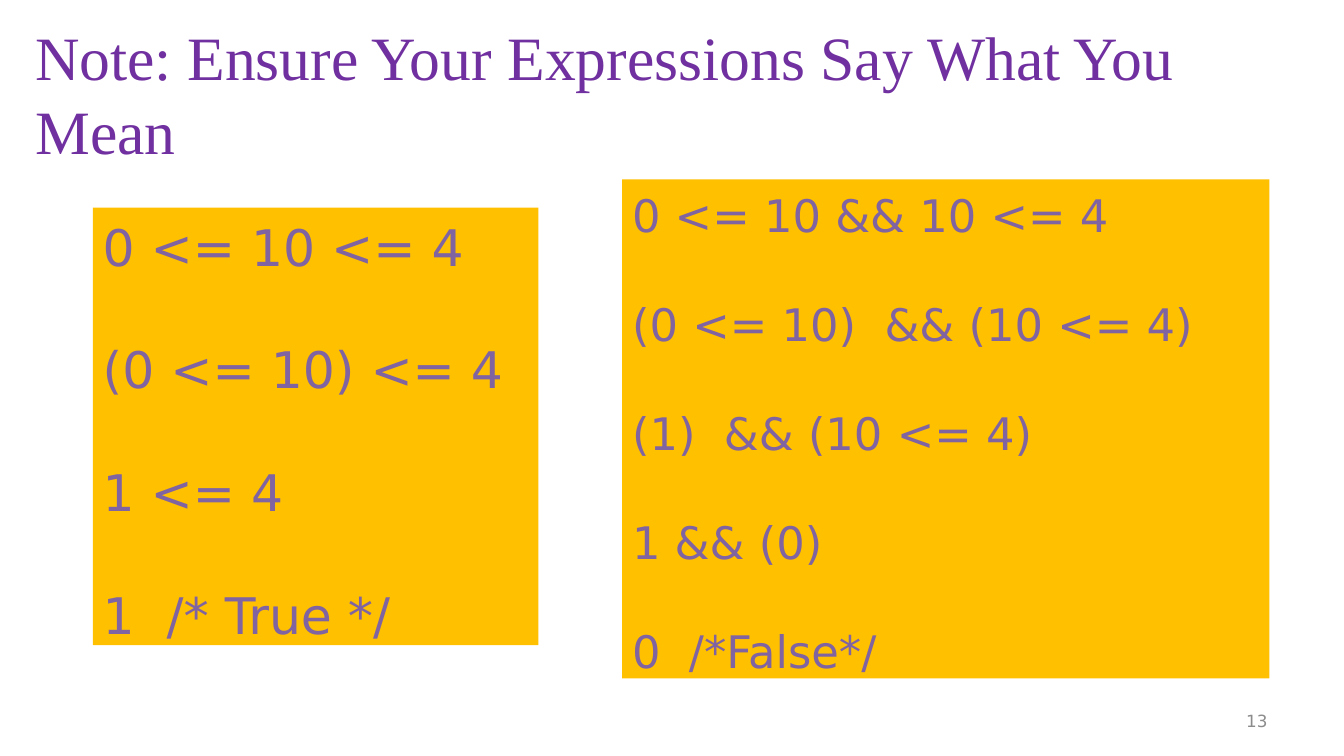
from pptx import Presentation
from pptx.dml.color import RGBColor
from pptx.enum import shapes, text
from pptx.util import Inches, Pt

PURPLE = RGBColor(0x70, 0x30, 0xA0)
LAVENDER = RGBColor(0x80, 0x64, 0xA2)
AMBER = RGBColor(0xFF, 0xC0, 0x00)
GRAY = RGBColor(0x8C, 0x8C, 0x8C)
CODE_FONT = "DejaVu Sans"

WRONG_STEPS = ["0 <= 10 <= 4", "(0 <= 10) <= 4", "1 <= 4", "1  /* True */"]
RIGHT_STEPS = ["0 <= 10 && 10 <= 4", "(0 <= 10)  && (10 <= 4)",
               "(1)  && (10 <= 4)", "1 && (0)", "0  /*False*/"]


def set_font(p, name, size, color):
    p.font.name = name
    p.font.size = Pt(size)
    p.font.color.rgb = color


def add_title(s, title, left, top, width, height):
    sp = s.shapes.title
    sp.left, sp.top, sp.width, sp.height = map(Inches, (left, top, width, height))
    tf = sp.text_frame
    tf.text = title
    tf.word_wrap = True
    tf.auto_size = text.MSO_AUTO_SIZE.NONE
    tf.vertical_anchor = text.MSO_ANCHOR.MIDDLE
    p = tf.paragraphs[0]
    p.alignment = text.PP_ALIGN.LEFT
    set_font(p, "Times New Roman", 44, PURPLE)


def add_evaluation(s, steps, size, left, top, width, height):
    """Show the evaluation steps of an expression, one line apart."""
    sp = s.shapes.add_shape(shapes.MSO_SHAPE.RECTANGLE,
                            *map(Inches, (left, top, width, height)))
    sp.shadow.inherit = False
    sp.fill.solid()
    sp.fill.fore_color.rgb = AMBER
    sp.line.fill.background()
    tf = sp.text_frame
    tf.word_wrap = True
    tf.vertical_anchor = text.MSO_ANCHOR.TOP
    tf.margin_top = Inches(0.08)
    for i, step in enumerate(steps):
        p = tf.add_paragraph() if i else tf.paragraphs[0]
        p.text = step
        p.alignment = text.PP_ALIGN.LEFT
        if i:
            p.space_before = Pt(round(1.235 * size, 1))
        set_font(p, CODE_FONT, size, LAVENDER)


def add_page_number(s, number, left, top, width, height):
    tf = s.shapes.add_textbox(*map(Inches, (left, top, width, height))).text_frame
    tf.word_wrap = True
    tf.vertical_anchor = text.MSO_ANCHOR.MIDDLE
    p = tf.paragraphs[0]
    p.text = number
    p.alignment = text.PP_ALIGN.RIGHT
    set_font(p, CODE_FONT, 12, GRAY)


def main():
    prs = Presentation()
    prs.slide_width, prs.slide_height = Inches(13.33), Inches(7.5)
    s = prs.slides.add_slide(prs.slide_layouts[5])
    add_title(s, "Note: Ensure Your Expressions Say What You Mean",
              0.25, 0.3, 12.75, 1.25)
    add_evaluation(s, WRONG_STEPS, 36, 0.92, 2.06, 4.42, 4.34)
    add_evaluation(s, RIGHT_STEPS, 32, 6.17, 1.78, 6.42, 4.95)
    add_page_number(s, "13", 9.56, 6.95, 3.11, 0.4)
    prs.save("out.pptx")


if __name__ == "__main__":
    main()
